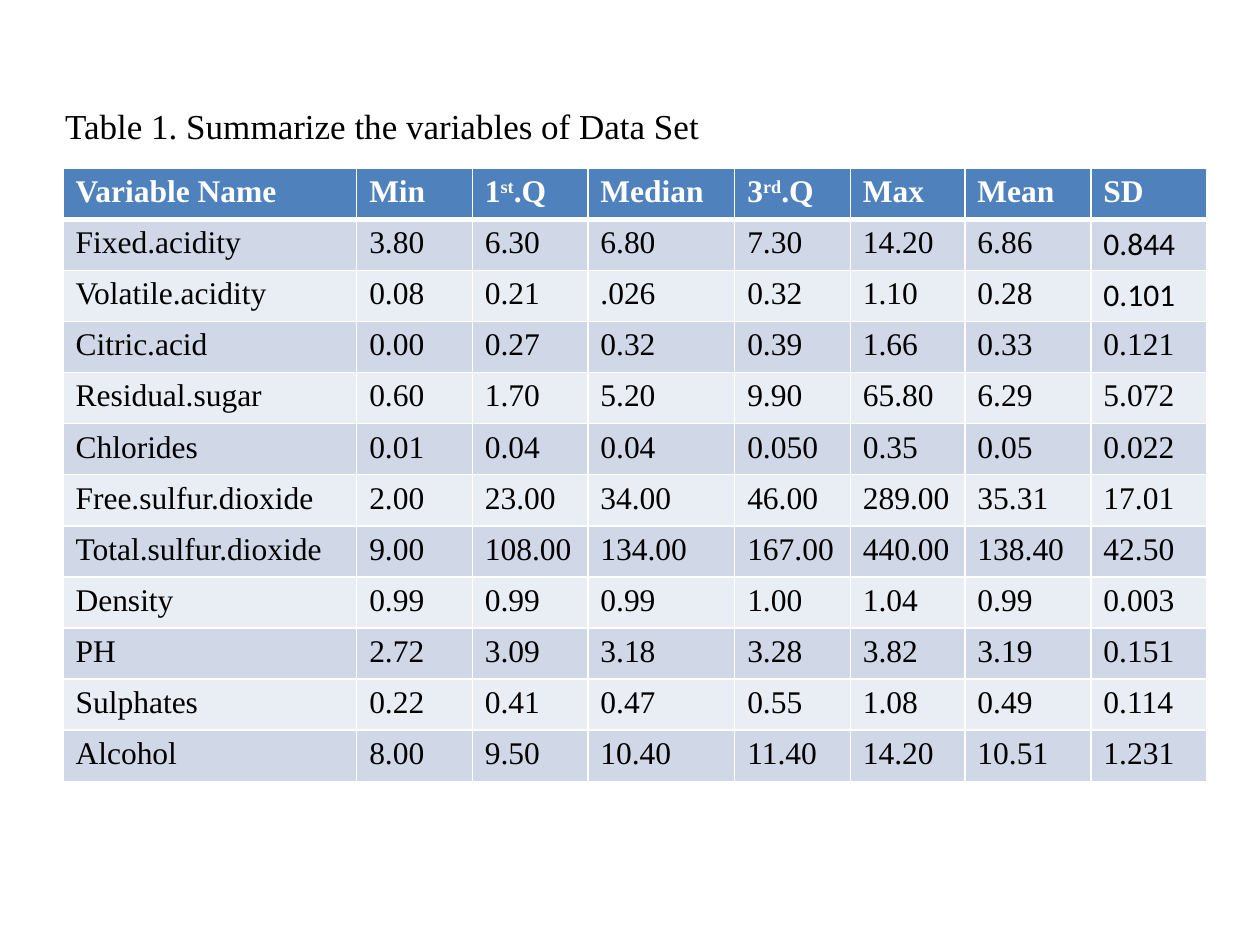
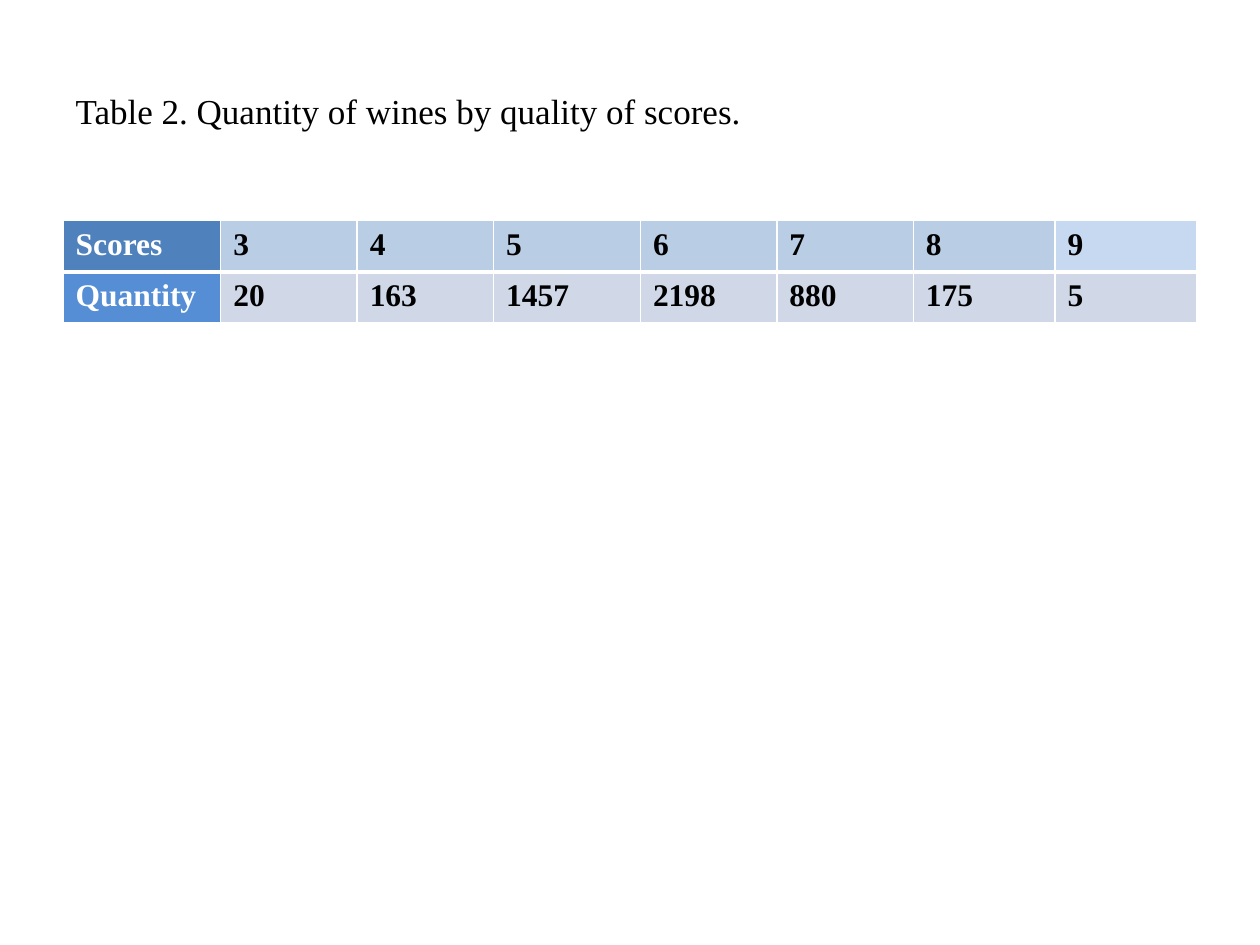
from lxml import etree
from pptx import Presentation
from pptx import util as u
from pptx.dml import color
from pptx.enum import text
from pptx.oxml import ns

SERIF, SANS = "Times New Roman", "Calibri"
BLACK, WHITE = "000000", "FFFFFF"
HEADER, BAND, LIGHT_BAND = "4F81BD", "D0D8E8", "E9EDF4"
SCORE, LAST_SCORE, QUANTITY = "B9CDE5", "C6D9F1", "558ED5"
ROW_HEIGHT = 1.03
THIN, THICK = 1, 3

SUMMARY_WIDTHS = [5.92, 2.33, 2.33, 2.96, 2.33, 2.31, 2.54, 2.33]
SUMMARY = [
    ["Variable Name", "Min", "1^st^.Q", "Median", "3^rd^.Q", "Max", "Mean", "SD"],
    ["Fixed.acidity", "3.80", "6.30", "6.80", "7.30", "14.20", "6.86", "0.844"],
    ["Volatile.acidity", "0.08", "0.21", ".026", "0.32", "1.10", "0.28", "0.101"],
    ["Citric.acid", "0.00", "0.27", "0.32", "0.39", "1.66", "0.33", "0.121"],
    ["Residual.sugar", "0.60", "1.70", "5.20", "9.90", "65.80", "6.29", "5.072"],
    ["Chlorides", "0.01", "0.04", "0.04", "0.050", "0.35", "0.05", "0.022"],
    ["Free.sulfur.dioxide", "2.00", "23.00", "34.00", "46.00", "289.00", "35.31", "17.01"],
    ["Total.sulfur.dioxide", "9.00", "108.00", "134.00", "167.00", "440.00", "138.40", "42.50"],
    ["Density", "0.99", "0.99", "0.99", "1.00", "1.04", "0.99", "0.003"],
    ["PH", "2.72", "3.09", "3.18", "3.28", "3.82", "3.19", "0.151"],
    ["Sulphates", "0.22", "0.41", "0.47", "0.55", "1.08", "0.49", "0.114"],
    ["Alcohol", "8.00", "9.50", "10.40", "11.40", "14.20", "10.51", "1.231"],
]
SCORES_WIDTHS = [3.18, 2.75, 2.75, 2.96, 2.75, 2.75, 2.86, 2.86]
SCORES = [
    ["Scores", "3", "4", "5", "6", "7", "8", "9"],
    ["Quantity", "20", "163", "1457", "2198", "880", "175", "5"],
]


def rgb(value):
    return color.RGBColor.from_string(value)


def format_run(run, size, colour, bold=False, font=SERIF):
    run.font.name = font
    run.font.size = u.Pt(size)
    run.font.bold = bold
    run.font.color.rgb = rgb(colour)


def add_title(slide, wording, box):
    title = slide.shapes.title
    title.left, title.top, title.width, title.height = map(u.Cm, box)
    title.text_frame.text = wording
    title.text_frame.vertical_anchor = text.MSO_ANCHOR.MIDDLE
    paragraph = title.text_frame.paragraphs[0]
    paragraph.alignment = text.PP_ALIGN.LEFT
    format_run(paragraph.runs[0], 20, BLACK)


def set_borders(cell, top, bottom):
    properties = cell._tc.get_or_add_tcPr()
    for side, width in (("L", THIN), ("R", THIN), ("T", top), ("B", bottom)):
        line = etree.SubElement(properties, ns.qn(f"a:ln{side}"), w=str(u.Pt(width)))
        fill = etree.SubElement(line, ns.qn("a:solidFill"))
        etree.SubElement(fill, ns.qn("a:srgbClr"), val=WHITE)


def write_cell(cell, wording, colour, bold, font):
    paragraph = cell.text_frame.paragraphs[0]
    for index, part in enumerate(wording.split("^")):
        run = paragraph.add_run()
        run.text = part
        format_run(run, 18, colour, bold, font)
        if index % 2:
            run._r.get_or_add_rPr().set("baseline", "30000")


def add_table(slide, rows, widths, left, top, style):
    frame = slide.shapes.add_table(
        len(rows), len(widths), u.Cm(left), u.Cm(top),
        u.Cm(sum(widths)), u.Cm(ROW_HEIGHT * len(rows)))
    table = frame.table
    for column, width in zip(table.columns, widths):
        column.width = u.Cm(width)
    for row_index, values in enumerate(rows):
        table.rows[row_index].height = u.Cm(ROW_HEIGHT)
        for column_index, value in enumerate(values):
            cell = table.cell(row_index, column_index)
            fill, colour, bold, font = style(row_index, column_index)
            set_borders(cell, THICK if row_index == 1 else THIN,
                        THICK if row_index == 0 else THIN)
            cell.fill.solid()
            cell.fill.fore_color.rgb = rgb(fill)
            write_cell(cell, value, colour, bold, font)


def summary_style(row, column):
    if row == 0:
        return HEADER, WHITE, True, SERIF
    font = SANS if row <= 2 and column == 7 else SERIF
    return (BAND if row % 2 else LIGHT_BAND), BLACK, False, font


def scores_style(row, column):
    if column == 0:
        return (QUANTITY if row else HEADER), WHITE, True, SERIF
    score_fill = LAST_SCORE if column == 7 else SCORE
    return (BAND if row else score_fill), BLACK, True, SERIF


def add_table_slide(presentation, title, title_box, rows, widths, top, style):
    slide = presentation.slides.add_slide(presentation.slide_layouts[5])
    add_title(slide, title, title_box)
    add_table(slide, rows, widths, 1.27, top, style)


def main():
    presentation = Presentation()
    presentation.slide_width, presentation.slide_height = u.Cm(25.4), u.Cm(19.05)
    add_table_slide(presentation, "Table 1. Summarize the variables of Data Set",
                    (1.06, 1.9, 22.86, 1.27), SUMMARY, SUMMARY_WIDTHS, 3.39, summary_style)
    add_table_slide(presentation, "Table 2. Quantity of wines by quality of scores.",
                    (1.27, 1.27, 22.86, 1.9), SCORES, SCORES_WIDTHS, 4.45, scores_style)
    presentation.save("out.pptx")


if __name__ == "__main__":
    main()
